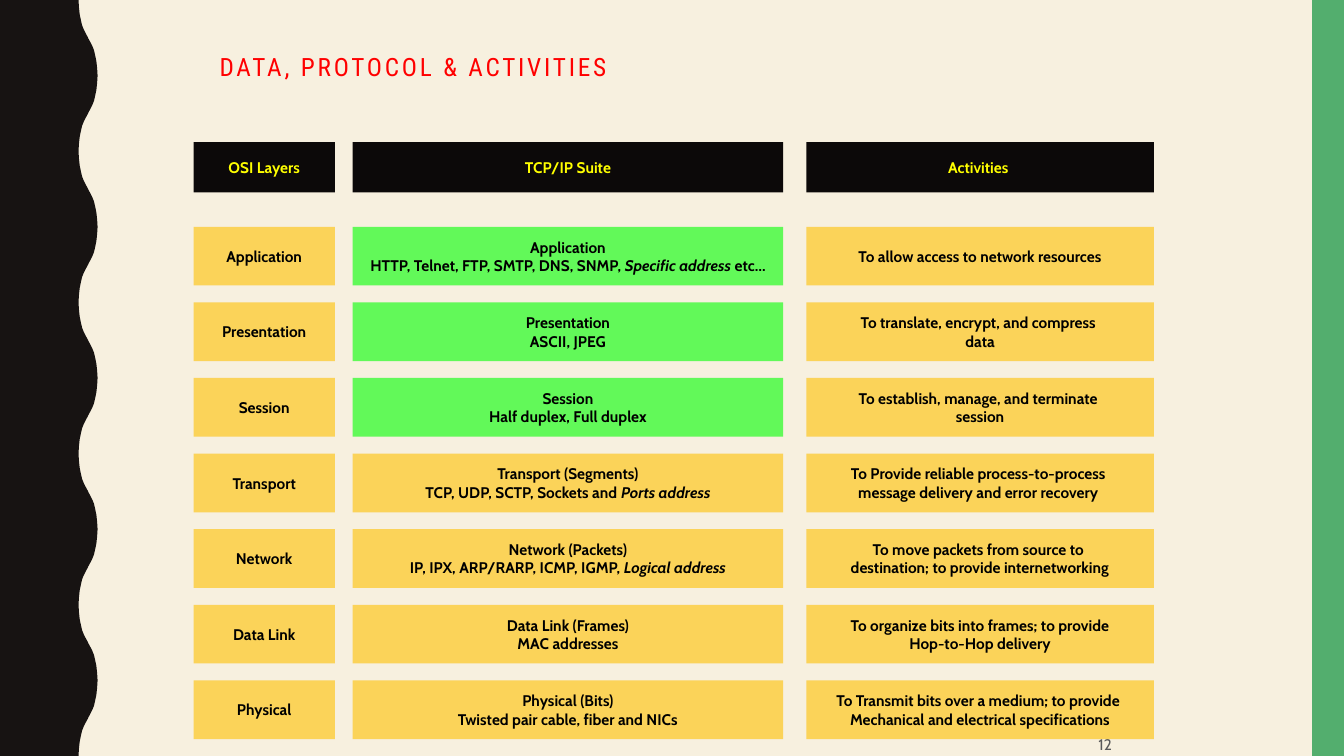
"""Build a slide that compares OSI layers, the TCP/IP suite and their activities."""
import lxml.etree
import pptx
import pptx.dml.color
import pptx.enum.shapes
import pptx.enum.text
import pptx.oxml.ns
import pptx.util
from pptx.util import Cm

CREAM = pptx.dml.color.RGBColor(0xF7, 0xF0, 0xDF)
DARK_BROWN = pptx.dml.color.RGBColor(0x17, 0x13, 0x12)
LEAF_GREEN = pptx.dml.color.RGBColor(0x53, 0xAE, 0x6E)
NEAR_BLACK = pptx.dml.color.RGBColor(0x0C, 0x09, 0x09)
BLACK = pptx.dml.color.RGBColor(0x00, 0x00, 0x00)
GREY = pptx.dml.color.RGBColor(0x59, 0x59, 0x59)
RED = pptx.dml.color.RGBColor(0xFF, 0x00, 0x00)
YELLOW = pptx.dml.color.RGBColor(0xFF, 0xFF, 0x00)
AMBER = pptx.dml.color.RGBColor(0xFF, 0xC0, 0x00)
LIME = pptx.dml.color.RGBColor(0x00, 0xFF, 0x00)

BODY_FONT = "Cabin"
TITLE_FONT = "Roboto Condensed"
SLIDE_WIDTH = Cm(33.87)
SLIDE_HEIGHT = Cm(19.05)
ROW_PITCH = SLIDE_HEIGHT // 10
FIRST_ROW_TOP = 3 * ROW_PITCH
ROW_HEIGHT = Cm(1.48)
HEADER_TOP = Cm(3.58)
HEADER_HEIGHT = Cm(1.27)
COLUMNS = [(Cm(4.88), Cm(3.56)), (Cm(8.89), Cm(10.85)), (Cm(20.32), Cm(8.76))]

WAVE_COUNT = 5
WAVE_LEFT = 1.98
WAVE_RIGHT = 2.46
WAVE_QUARTER = [(1.98, 0), (1.99, 0.18), (2.01, 0.36), (2.04, 0.51),
                (2.07, 0.64), (2.11, 0.74), (2.16, 0.84), (2.22, 0.95)]

HEADERS = ["OSI Layers", "TCP/IP Suite", "Activities "]
ITALIC_MARK = "*"
LAYERS = [
    (["Application"],
     ["Application", "HTTP, Telnet, FTP, SMTP, DNS, SNMP, *Specific address* etc…"],
     ["To allow access to network resources"]),
    (["Presentation"],
     ["Presentation", "ASCII, JPEG"],
     ["To translate, encrypt, and compress ", "data"]),
    (["Session"],
     ["Session", "Half duplex, Full duplex"],
     ["To establish, manage, and terminate ", "session"]),
    (["Transport"],
     ["Transport (Segments)", "TCP, UDP, SCTP, Sockets and *Ports address*"],
     ["To Provide reliable process-to-process ", "message delivery and error recovery "]),
    (["Network"],
     ["Network (Packets)", "IP, IPX, ARP/RARP, ICMP, IGMP, *Logical address*"],
     ["To move packets from source to ", "destination; to provide internetworking"]),
    (["Data Link"],
     ["Data Link (Frames)", "MAC addresses"],
     ["To organize bits into frames; to provide", "Hop-to-Hop delivery"]),
    (["Physical"],
     ["Physical (Bits)", "Twisted pair cable, fiber and NICs"],
     ["To Transmit bits over a medium; to provide ",
      "Mechanical and electrical specifications"]),
]
SUITE_COLUMN = 1
LIME_ROWS = 3


def add_run(paragraph, text, color, size=11, font=BODY_FONT, bold=False, italic=False):
    """Append one formatted run to a paragraph."""
    run = paragraph.add_run()
    run.text = text
    run.font.name = font
    run.font.size = pptx.util.Pt(size)
    run.font.bold = bold
    run.font.italic = italic
    run.font.color.rgb = color
    return run


def paint(shape, color, opacity=100):
    """Give a shape a plain fill with no line or shadow."""
    shape.shadow.inherit = False
    shape.line.fill.background()
    shape.fill.solid()
    shape.fill.fore_color.rgb = color
    if opacity < 100:
        fill_color = shape.element.spPr.find(".//" + pptx.oxml.ns.qn("a:srgbClr"))
        alpha = lxml.etree.SubElement(fill_color, pptx.oxml.ns.qn("a:alpha"))
        alpha.set("val", str(opacity * 1000))


def add_rectangle(slide, left, top, width, height, color, opacity=100):
    """Add a plain rectangle."""
    shape = slide.shapes.add_shape(
        pptx.enum.shapes.MSO_SHAPE.RECTANGLE, left, top, width, height)
    paint(shape, color, opacity)
    return shape


def add_box(slide, column, top, height, lines, color, text_color, opacity=100):
    """Add a rectangle with centred bold lines in one of the columns."""
    left, width = COLUMNS[column]
    shape = add_rectangle(slide, left, top, width, height, color, opacity)
    frame = shape.text_frame
    frame.margin_left = frame.margin_right = frame.margin_top = frame.margin_bottom = 0
    frame.word_wrap = False
    frame.vertical_anchor = pptx.enum.text.MSO_ANCHOR.MIDDLE
    for index, line in enumerate(lines):
        paragraph = frame.add_paragraph() if index else frame.paragraphs[0]
        paragraph.alignment = pptx.enum.text.PP_ALIGN.CENTER
        for part, text in enumerate(line.split(ITALIC_MARK)):
            if text:
                add_run(paragraph, text, text_color, bold=True, italic=part % 2 == 1)


def add_wavy_edge(slide):
    """Add the dark band with a wavy right side."""
    period = SLIDE_HEIGHT / WAVE_COUNT
    quarter = [(Cm(x), Cm(y)) for x, y in WAVE_QUARTER]
    middle = Cm(WAVE_LEFT + WAVE_RIGHT)
    rise = quarter + [(middle - x, period / 2 - y) for x, y in reversed(quarter)]
    wave = rise + [(x, period - y) for x, y in reversed(rise)]
    points = [(x, y + number * period) for number in range(WAVE_COUNT) for x, y in wave]
    builder = slide.shapes.build_freeform(0, 0)
    builder.add_line_segments(points + [(0, SLIDE_HEIGHT)], close=True)
    paint(builder.convert_to_shape(), DARK_BROWN)


def set_title(slide, text):
    """Place and format the title placeholder."""
    title = slide.shapes.title
    title.left, title.top, title.width, title.height = Cm(5.28), Cm(0.89), Cm(22.5), Cm(1.68)
    frame = title.text_frame
    frame.auto_size = pptx.enum.text.MSO_AUTO_SIZE.NONE
    frame.vertical_anchor = pptx.enum.text.MSO_ANCHOR.MIDDLE
    paragraph = frame.paragraphs[0]
    paragraph.alignment = pptx.enum.text.PP_ALIGN.LEFT
    paragraph.line_spacing = 0.9
    run = add_run(paragraph, text, RED, size=18, font=TITLE_FONT)
    run.font._element.set("spc", "200")


def add_page_number(slide, text):
    """Add the page number at the lower right."""
    box = slide.shapes.add_textbox(Cm(22.43), Cm(18.24), Cm(5.84), Cm(1.02))
    frame = box.text_frame
    frame.word_wrap = True
    frame.vertical_anchor = pptx.enum.text.MSO_ANCHOR.MIDDLE
    frame.paragraphs[0].alignment = pptx.enum.text.PP_ALIGN.RIGHT
    add_run(frame.paragraphs[0], text, GREY)


def add_layer_grid(slide):
    """Add the header boxes and one row of boxes for each layer."""
    for column, header in enumerate(HEADERS):
        add_box(slide, column, HEADER_TOP, HEADER_HEIGHT, [header], NEAR_BLACK, YELLOW)
    for row, layer in enumerate(LAYERS):
        top = FIRST_ROW_TOP + row * ROW_PITCH
        for column, lines in enumerate(layer):
            is_lime = column == SUITE_COLUMN and row < LIME_ROWS
            color = LIME if is_lime else AMBER
            add_box(slide, column, top, ROW_HEIGHT, lines, color, BLACK, opacity=60)


def main():
    """Build and save the presentation."""
    presentation = pptx.Presentation()
    presentation.slide_width = SLIDE_WIDTH
    presentation.slide_height = SLIDE_HEIGHT
    slide = presentation.slides.add_slide(presentation.slide_layouts[5])
    slide.background.fill.solid()
    slide.background.fill.fore_color.rgb = CREAM
    add_wavy_edge(slide)
    add_rectangle(slide, Cm(33.07), 0, Cm(0.8), SLIDE_HEIGHT, LEAF_GREEN)
    add_page_number(slide, "12")
    set_title(slide, "DATA, PROTOCOL & ACTIVITIES")
    add_layer_grid(slide)
    presentation.save("out.pptx")


if __name__ == "__main__":
    main()
